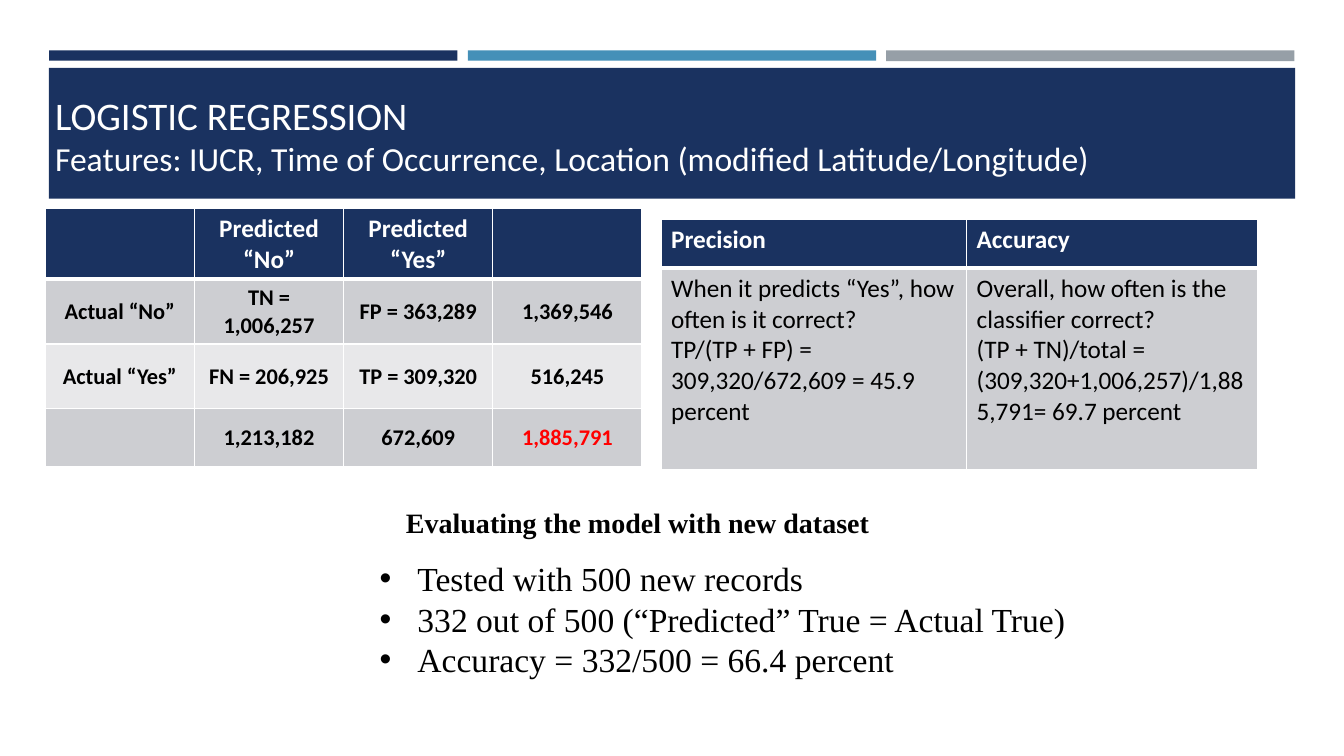
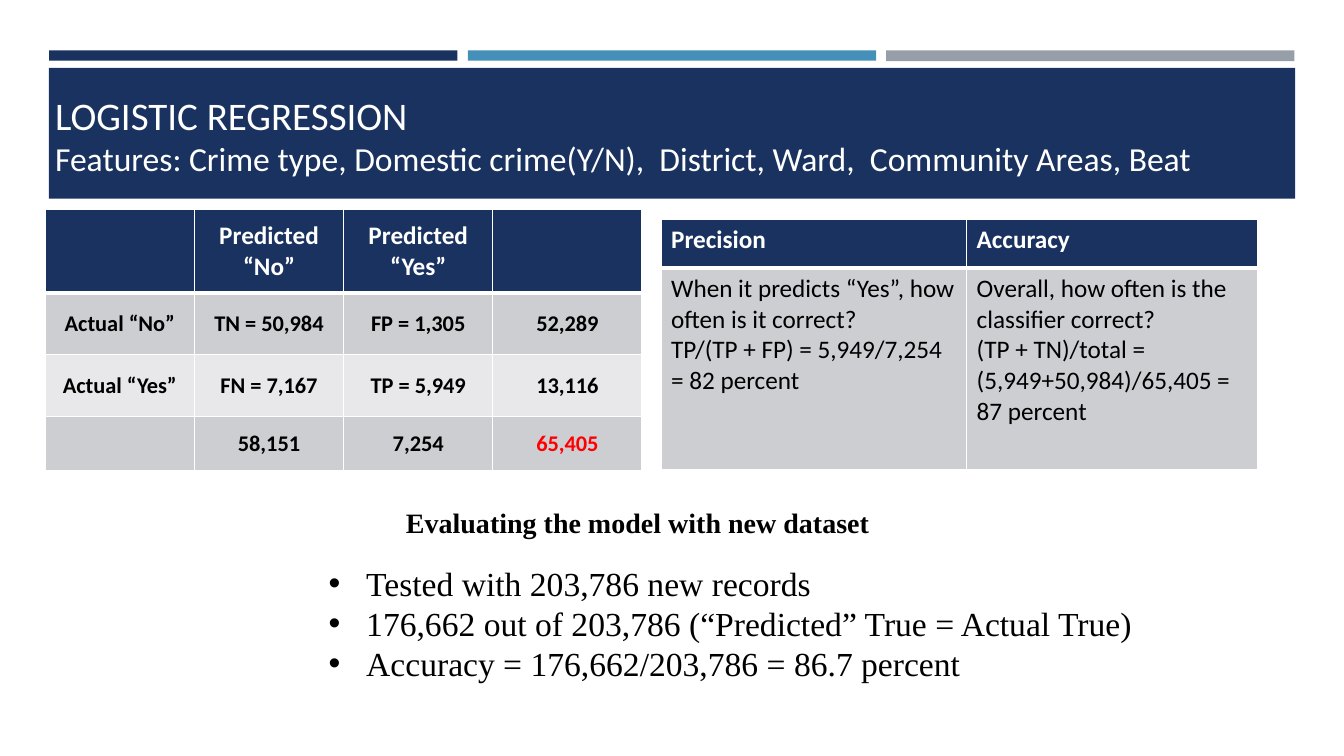
"""Build two slides on logistic regression results."""
from lxml.etree import SubElement
from pptx import Presentation
from pptx.dml.color import RGBColor
from pptx.enum.shapes import MSO_SHAPE
from pptx.enum.text import MSO_ANCHOR, PP_ALIGN
from pptx.oxml.ns import qn
from pptx.util import Cm, Pt

NAVY, BLUE, GRAY = "1A3260", "4590B8", "969FA7"
DARK_ROW, LIGHT_ROW = "CDCED2", "E8E8EA"
WHITE, BLACK, RED = "FFFFFF", "000000", "FF0000"
SANS, SERIF = "Calibri", "Times New Roman"


def paint(fill, color):
    fill.solid()
    fill.fore_color.rgb = RGBColor.from_string(color)


def write(tf, text, size=18, font=SANS, color=BLACK, bold=False, align=None, bullet=False):
    tf.word_wrap = True
    for i, line in enumerate(text.split("\n")):
        p = tf.add_paragraph() if i else tf.paragraphs[0]
        p.alignment = align
        if bullet:
            pPr = p._p.get_or_add_pPr()
            pPr.set("marL", str(Cm(0.95)))
            pPr.set("indent", str(-Cm(0.95)))
            SubElement(pPr, qn("a:buFont"), typeface="Arial")
            SubElement(pPr, qn("a:buChar"), char="•")
        r = p.add_run()
        r.text = line
        r.font.size, r.font.name, r.font.bold = Pt(size), font, bold
        paint(r.font.fill, color)


BANDS = [
    (1.24, 1.27, 10.29, 0.26, NAVY),
    (11.79, 1.27, 10.29, 0.26, BLUE),
    (22.33, 1.27, 10.29, 0.27, GRAY),
    (1.23, 1.71, 31.41, 3.3, NAVY),
]
HEADING = "Evaluating the model with new dataset"
PRECISION = "When it predicts “Yes”, how often is it correct?\nTP/(TP + FP) = "
ACCURACY = "Overall, how often is the classifier correct?\n(TP + TN)/total = "

SLIDES = [
    {
        "features": "Features: IUCR, Time of Occurrence, Location (modified Latitude/Longitude)",
        "matrix_top": 5.26,
        "matrix_rows": [1.63, 1.63, 1.63, 1.45],
        "counts": [["TN = 1,006,257", "FP = 363,289", "1,369,546"],
                   ["FN = 206,925", "TP = 309,320", "516,245"],
                   ["1,213,182", "672,609", "1,885,791"]],
        "precision": "309,320/672,609 = 45.9 percent",
        "accuracy": "(309,320+1,006,257)/1,885,791= 69.7 percent",
        "test_box": (9.32, 13.94, 18.95, 3.33),
        "test": "Tested with 500 new records\n"
                "332 out of 500 (“Predicted” True = Actual True)\n"
                "Accuracy = 332/500 = 66.4 percent",
    },
    {
        "features": "Features: Crime type, Domestic crime(Y/N),  District, Ward,  Community Areas, Beat",
        "matrix_top": 5.28,
        "matrix_rows": [2.11, 1.55, 1.55, 1.37],
        "counts": [["TN = 50,984", "FP = 1,305", "52,289"],
                   ["FN = 7,167", "TP = 5,949", "13,116"],
                   ["58,151", "7,254", "65,405"]],
        "precision": "5,949/7,254 = 82 percent",
        "accuracy": "(5,949+50,984)/65,405 = 87 percent",
        "test_box": (8.03, 14.05, 20.98, 3.33),
        "test": "Tested with 203,786 new records\n"
                "176,662 out of 203,786 (“Predicted” True = Actual True)\n"
                "Accuracy = 176,662/203,786 = 86.7 percent",
    },
]

prs = Presentation()
prs.slide_width, prs.slide_height = Cm(33.87), Cm(19.05)

for data in SLIDES:
    s = prs.slides.add_slide(prs.slide_layouts[6])

    for *box, color in BANDS:
        sp = s.shapes.add_shape(MSO_SHAPE.RECTANGLE, *map(Cm, box))
        sp.shadow.inherit = False
        sp.line.fill.background()
        paint(sp.fill, color)

    texts = [
        ((1.14, 2.18, 12.07, 1.4), "LOGISTIC REGRESSION", {"size": 27.9, "color": WHITE}),
        ((1.14, 3.35, 31.57, 1.28), data["features"], {"size": 24, "color": WHITE}),
        ((9.98, 12.62, 13.92, 1.12), HEADING, {"size": 20, "font": SERIF, "bold": True}),
        (data["test_box"], data["test"], {"size": 24, "font": SERIF, "bullet": True}),
    ]
    for box, text, style in texts:
        write(s.shapes.add_textbox(*map(Cm, box)).text_frame, text, **style)

    matrix = [["", "Predicted “No”", "Predicted “Yes”", ""]]
    for label, counts in zip(["Actual “No”", "Actual “Yes”", ""], data["counts"]):
        matrix.append([label, *counts])
    metrics = [["Precision", "Accuracy"],
               [PRECISION + data["precision"], ACCURACY + data["accuracy"]]]

    tables = [
        (16.66, 5.54, [7.7, 7.34], [1.22, 5.08], metrics,
         {"size": 18}, MSO_ANCHOR.TOP),
        (1.14, data["matrix_top"], [3.76] * 4, data["matrix_rows"], matrix,
         {"size": 16, "bold": True, "align": PP_ALIGN.CENTER}, MSO_ANCHOR.MIDDLE),
    ]
    for left, top, widths, heights, rows, style, anchor in tables:
        table = s.shapes.add_table(len(rows), len(widths), Cm(left), Cm(top),
                                   Cm(sum(widths)), Cm(sum(heights))).table
        table.first_row = table.horz_banding = False
        for column, width in zip(table.columns, widths):
            column.width = Cm(width)
        for i, (row, height) in enumerate(zip(rows, heights)):
            table.rows[i].height = Cm(height)
            for j, text in enumerate(row):
                cell = table.cell(i, j)
                cell.vertical_anchor = anchor
                for side in "LRTB":
                    thick = (i, side) in [(0, "B"), (1, "T")]
                    ln = SubElement(cell._tc.get_or_add_tcPr(), qn(f"a:ln{side}"),
                                    w=str(Pt(3 if thick else 1)))
                    SubElement(SubElement(ln, qn("a:solidFill")), qn("a:srgbClr"), val=WHITE)
                paint(cell.fill, NAVY if i == 0 else DARK_ROW if i % 2 else LIGHT_ROW)
                look = dict(style)
                if i == 0:
                    look.update(size=18, bold=True, color=WHITE)
                elif i == j == 3:
                    look.update(color=RED)
                if text:
                    write(cell.text_frame, text, **look)

prs.save("out.pptx")
